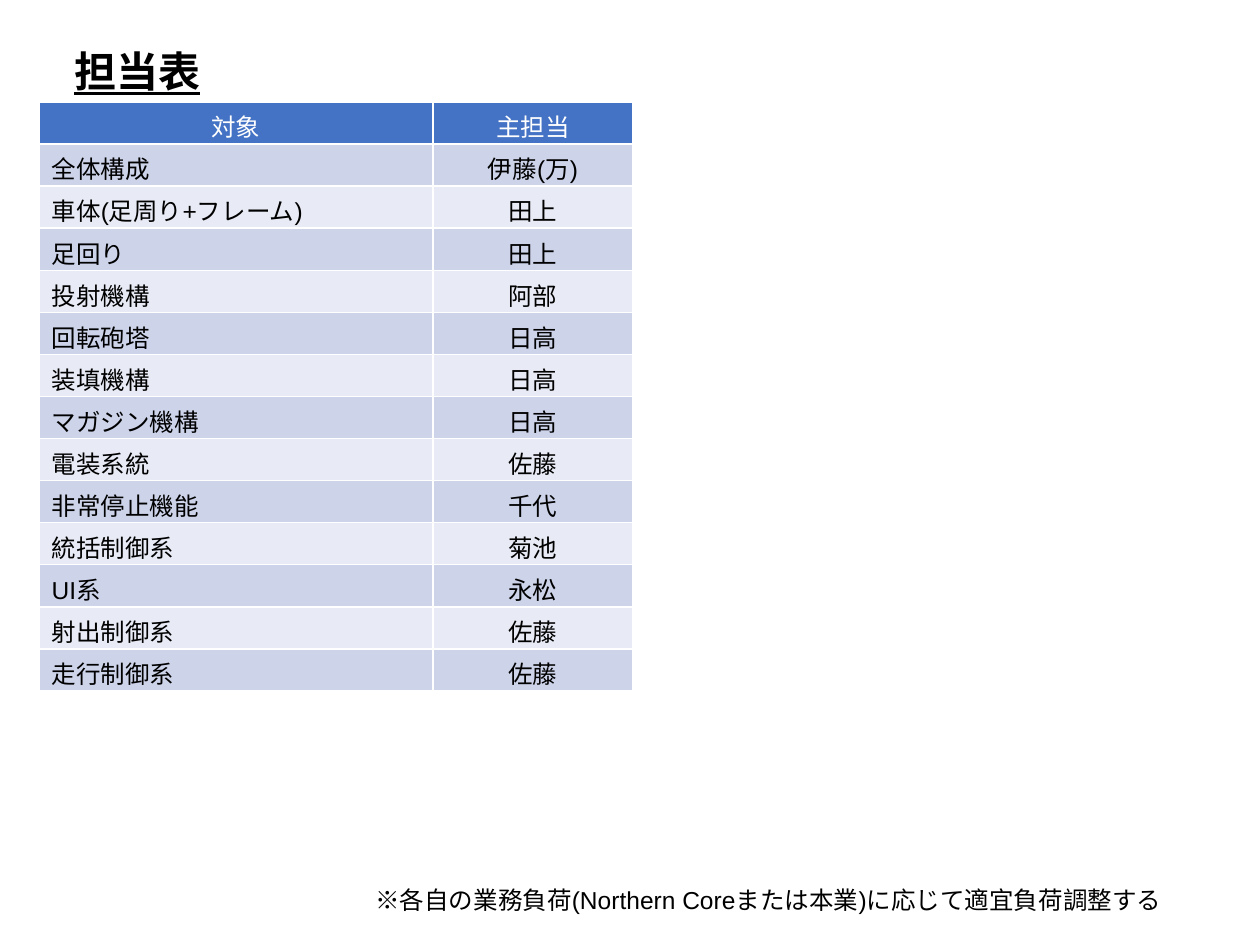
from typing import NamedTuple

from pptx import Presentation
from pptx import util as u
from pptx.dml.color import RGBColor
from pptx.enum import text

PX = u.Inches(1) // 126  # one px in EMU
FONT = "Arial"
BLACK, WHITE = "000000", "FFFFFF"
HEADER_FILL = "4472C4"
BAND_FILLS = ("CDD4EA", "E8EBF5")


class Label(NamedTuple):
    x: int
    y: int
    w: int
    h: int
    words: str
    fmt: dict


class Duty(NamedTuple):
    target: str
    owner: str


LABELS = [
    Label(62, 39, 152, 63, "担当表", {"size": u.Pt(24), "bold": True, "underline": True}),
    Label(363, 879, 911, 43,
          "※各自の業務負荷(Northern Coreまたは本業)に応じて適宜負荷調整する",
          {"size": u.Pt(14)}),
]

HEADER = Duty("対象", "主担当")
DUTIES = [
    Duty("全体構成", "伊藤(万)"),
    Duty("車体(足周り+フレーム)", "田上"),
    Duty("足回り", "田上"),
    Duty("投射機構", "阿部"),
    Duty("回転砲塔", "日高"),
    Duty("装填機構", "日高"),
    Duty("マガジン機構", "日高"),
    Duty("電装系統", "佐藤"),
    Duty("非常停止機能", "千代"),
    Duty("統括制御系", "菊池"),
    Duty("UI系", "永松"),
    Duty("射出制御系", "佐藤"),
    Duty("走行制御系", "佐藤"),
]

TABLE_X, TABLE_Y = 39, 102
COL_WIDTHS = (394, 200)
ROW_HEIGHT = 39


def rgb(value: str) -> RGBColor:
    return RGBColor.from_string(value)


def write(tf, words: str, color: str, fmt: dict, align=text.PP_ALIGN.LEFT) -> None:
    p = tf.paragraphs[0]
    p.alignment = align
    r = p.add_run()
    r.text = words
    for name, value in {"name": FONT, **fmt}.items():
        setattr(r.font, name, value)
    r.font.color.rgb = rgb(color)


def draw_label(s, label: Label) -> None:
    sp = s.shapes.add_textbox(*(v * PX for v in label[:4]))
    sp.text_frame.word_wrap = False
    write(sp.text_frame, label.words, BLACK, label.fmt)


def draw_table(s, rows: list[Duty]) -> None:
    # The default table style supplies the white rules and the header weight
    table = s.shapes.add_table(
        len(rows), len(COL_WIDTHS), TABLE_X * PX, TABLE_Y * PX,
        sum(COL_WIDTHS) * PX, len(rows) * ROW_HEIGHT * PX).table
    for column, width in zip(table.columns, COL_WIDTHS):
        column.width = width * PX
    for i, duty in enumerate(rows):
        table.rows[i].height = ROW_HEIGHT * PX
        is_header = i == 0
        fill = HEADER_FILL if is_header else BAND_FILLS[(i - 1) % 2]
        for j, words in enumerate(duty):
            cell = table.cell(i, j)
            cell.fill.solid()
            cell.fill.fore_color.rgb = rgb(fill)
            centred = is_header or j == 1
            write(cell.text_frame, words, WHITE if is_header else BLACK,
                  {"size": u.Pt(14)},
                  text.PP_ALIGN.CENTER if centred else text.PP_ALIGN.LEFT)


def main() -> None:
    prs = Presentation()
    prs.slide_width, prs.slide_height = u.Inches(10), u.Inches(7.5)
    s = prs.slides.add_slide(prs.slide_layouts[6])

    # Title and footnote
    for label in LABELS:
        draw_label(s, label)

    # Table of duties
    draw_table(s, [HEADER, *DUTIES])

    prs.save("out.pptx")


if __name__ == "__main__":
    main()
